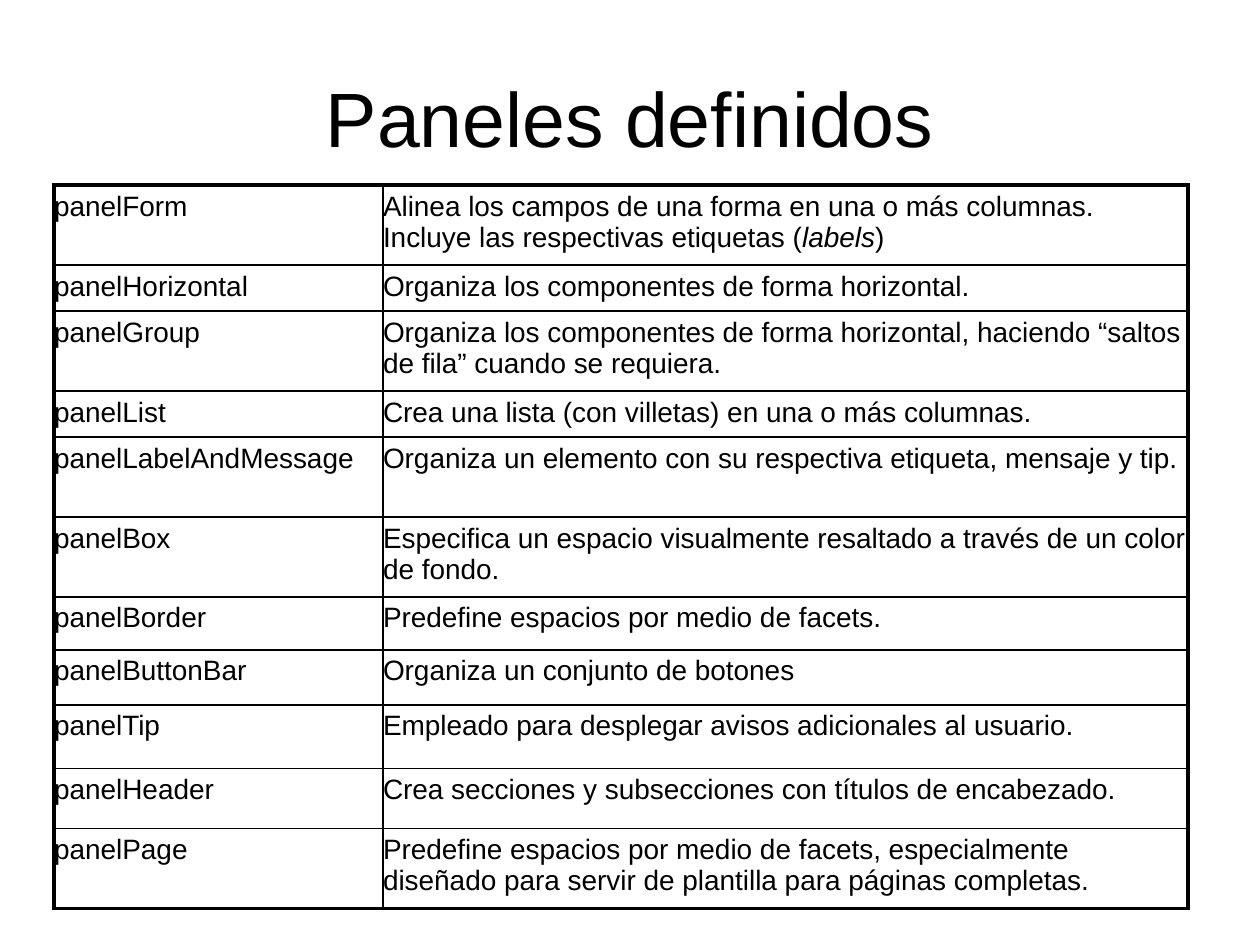
from dataclasses import dataclass

import pptx
import pptx.dml.color
import pptx.enum.text
import pptx.oxml
import pptx.oxml.ns
import pptx.util

PIXELS_PER_INCH = 126
FONT_NAME = "Arial"
COLORS = {"text": "000000", "border": "000000"}
OUTER_WIDTH = 2.25
INNER_WIDTH = 1
COLUMN_WIDTHS = [329, 805]


@dataclass(frozen=True)
class Run:
    text: str
    italic: bool = False


@dataclass(frozen=True)
class PanelRow:
    name: str
    description: list[Run]
    height: int


PANEL_ROWS = [
    PanelRow(
        "panelForm",
        [
            Run("Alinea los campos de una forma en una o más columnas. Incluye las respectivas etiquetas ("),
            Run("labels", italic=True),
            Run(")"),
        ],
        80,
    ),
    PanelRow("panelHorizontal", [Run("Organiza los componentes de forma horizontal.")], 46),
    PanelRow(
        "panelGroup",
        [Run("Organiza los componentes de forma horizontal, haciendo “saltos de fila” cuando se requiera.")],
        80,
    ),
    PanelRow("panelList", [Run("Crea una lista (con villetas) en una o más columnas.")], 46),
    PanelRow(
        "panelLabelAndMessage",
        [Run("Organiza un elemento con su respectiva etiqueta, mensaje y tip.")],
        80,
    ),
    PanelRow(
        "panelBox",
        [Run("Especifica un espacio visualmente resaltado a través de un color de fondo.")],
        80,
    ),
    PanelRow("panelBorder", [Run("Predefine espacios por medio de facets.")], 53),
    PanelRow("panelButtonBar", [Run("Organiza un conjunto de botones")], 55),
    PanelRow("panelTip", [Run("Empleado para desplegar avisos adicionales al usuario.")], 64),
    PanelRow("panelHeader", [Run("Crea secciones y subsecciones con títulos de encabezado.")], 60),
    PanelRow(
        "panelPage",
        [Run("Predefine espacios por medio de facets, especialmente diseñado para servir de plantilla para páginas completas.")],
        80,
    ),
]


def px(length: int) -> pptx.util.Emu:
    return pptx.util.Emu(round(length * 914400 / PIXELS_PER_INCH))


def set_attributes(target: object, values: dict) -> None:
    for name, value in values.items():
        setattr(target, name, value)


def add_runs(paragraph, runs: list[Run], size: int) -> None:
    for item in runs:
        run = paragraph.add_run()
        run.text = item.text
        set_attributes(
            run.font,
            {"name": FONT_NAME, "size": pptx.util.Pt(size), "bold": False, "italic": item.italic},
        )
        run.font.color.rgb = pptx.dml.color.RGBColor.from_string(COLORS["text"])


def set_borders(cell, widths: dict[str, float]) -> None:
    properties = cell._tc.get_or_add_tcPr()
    for side, width in widths.items():
        properties.append(
            pptx.oxml.parse_xml(
                f'<a:ln{side} {pptx.oxml.ns.nsdecls("a")} w="{pptx.util.Pt(width)}">'
                f'<a:solidFill><a:srgbClr val="{COLORS["border"]}"/></a:solidFill>'
                f'<a:prstDash val="solid"/></a:ln{side}>'
            )
        )


def fill_cell(cell, runs: list[Run], borders: dict[str, float]) -> None:
    set_attributes(
        cell,
        {
            "margin_left": 0,
            "margin_right": 0,
            "margin_top": px(6),
            "margin_bottom": px(6),
            "vertical_anchor": pptx.enum.text.MSO_ANCHOR.TOP,
        },
    )
    add_runs(cell.text_frame.paragraphs[0], runs, 16)
    set_borders(cell, borders)
    cell.fill.background()


def add_title(slide, text: str) -> None:
    title = slide.shapes.title
    set_attributes(title, {"left": px(63), "top": px(38), "width": px(1134), "height": px(157)})
    title.text_frame.vertical_anchor = pptx.enum.text.MSO_ANCHOR.MIDDLE
    paragraph = title.text_frame.paragraphs[0]
    paragraph.alignment = pptx.enum.text.PP_ALIGN.CENTER
    add_runs(paragraph, [Run(text)], 44)


def add_panel_table(slide, rows: list[PanelRow]) -> None:
    height = sum(row.height for row in rows)
    table = slide.shapes.add_table(
        len(rows), len(COLUMN_WIDTHS), px(54), px(185), px(sum(COLUMN_WIDTHS)), px(height)
    ).table
    set_attributes(table, {"first_row": False, "horz_banding": False})
    for column, width in zip(table.columns, COLUMN_WIDTHS):
        column.width = px(width)
    last_row, last_column = len(rows) - 1, len(COLUMN_WIDTHS) - 1
    for row_index, row in enumerate(rows):
        table.rows[row_index].height = px(row.height)
        for column_index, runs in enumerate([[Run(row.name)], row.description]):
            outer_sides = {
                "L": column_index == 0,
                "R": column_index == last_column,
                "T": row_index == 0,
                "B": row_index == last_row,
            }
            borders = {
                side: OUTER_WIDTH if outer else INNER_WIDTH for side, outer in outer_sides.items()
            }
            fill_cell(table.cell(row_index, column_index), runs, borders)


def main() -> None:
    presentation = pptx.Presentation()
    set_attributes(presentation, {"slide_width": px(1260), "slide_height": px(945)})
    slide = presentation.slides.add_slide(presentation.slide_layouts[5])
    add_title(slide, "Paneles definidos")
    add_panel_table(slide, PANEL_ROWS)
    presentation.save("out.pptx")


if __name__ == "__main__":
    main()
